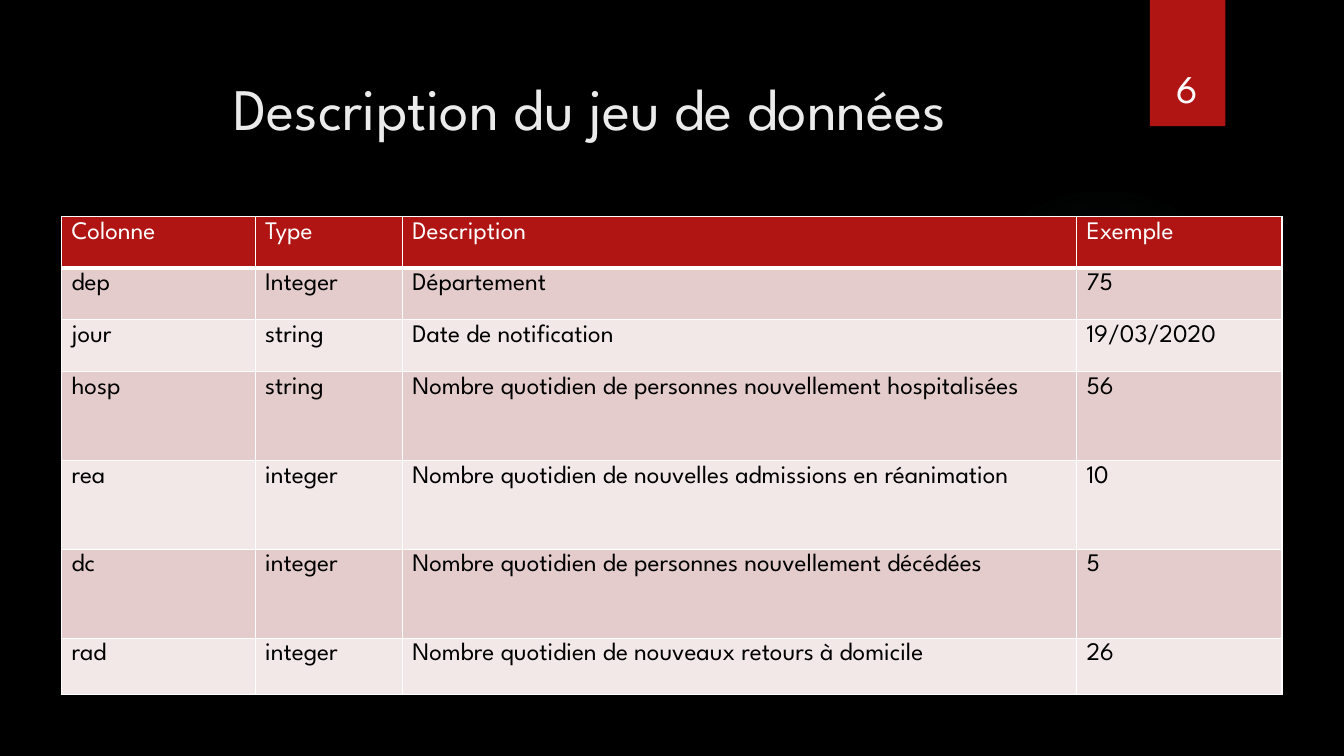
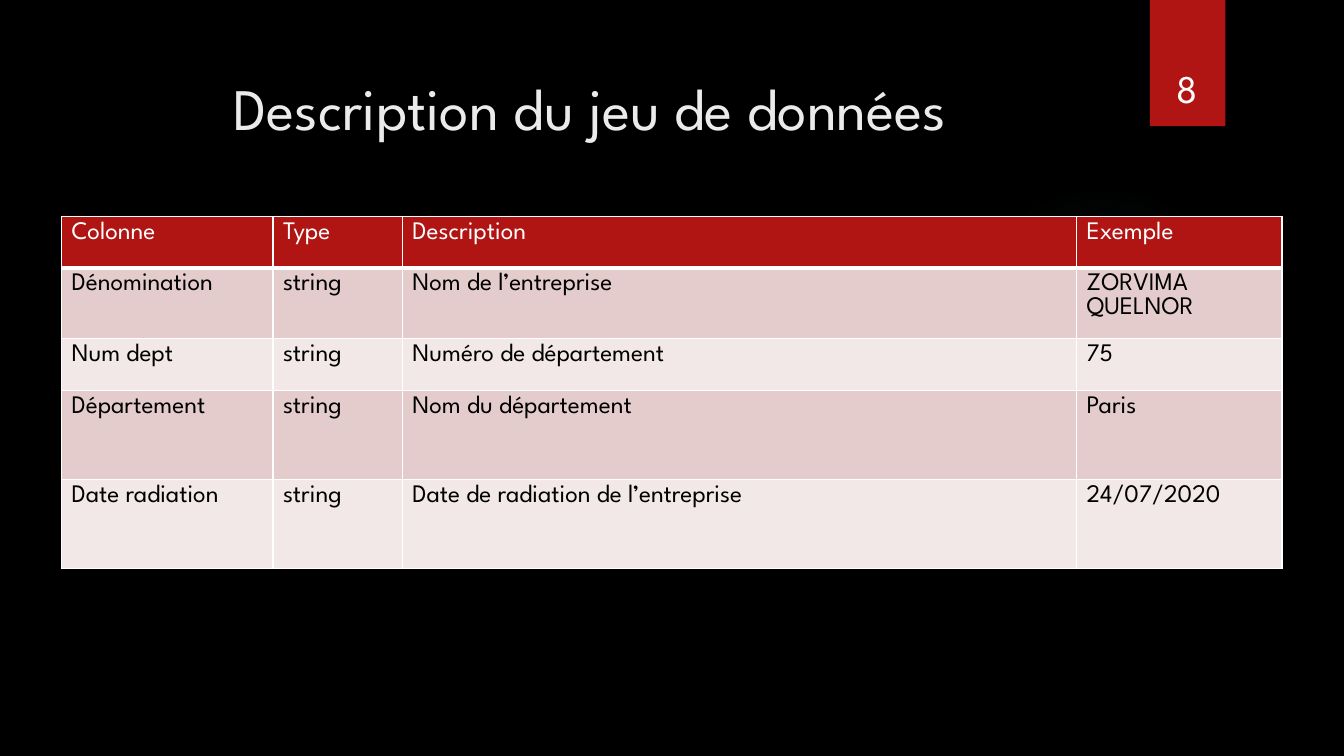
from lxml.etree import SubElement
from pptx import Presentation
from pptx.dml.color import RGBColor
from pptx.enum.shapes import MSO_SHAPE
from pptx.enum.text import MSO_ANCHOR, PP_ALIGN
from pptx.oxml import parse_xml
from pptx.oxml.ns import nsdecls, qn
from pptx.util import Cm, Pt

FONT = "League Spartan"
BLACK = RGBColor(0x00, 0x00, 0x00)
WHITE = RGBColor(0xFF, 0xFF, 0xFF)
TITLE_GREY = RGBColor(0xEB, 0xEB, 0xEB)
RED = RGBColor(0xB0, 0x15, 0x13)
BANDS = (RGBColor(0xE4, 0xCC, 0xCC), RGBColor(0xF2, 0xE8, 0xE7))
GLOW = RGBColor(0x50, 0xB9, 0xC1)
GLOW_STOPS = ((0, 7), (36, 6), (69, 0))

GLOW_BOX = (23.9, 4.65, 7.82, 7.82)
TAB_BOX = (28.98, 0, 1.9, 3.18)
NUMBER_BOX = (28.75, 0.81, 2.34, 2.13)
TITLE_BOX = (1.8, 1.27, 26.14, 3.89)
TABLE_LEFT, TABLE_TOP = 1.55, 5.46
LOW, HIGH = 1.3, 2.24

TITLE = "Description du jeu de données"
HEADER = ("Colonne", "Type", "Description", "Exemple")
HOSPITAL_ROWS = (
    ("dep", "Integer", "Département", "75"),
    ("jour", "string", "Date de notification", "19/03/2020"),
    ("hosp", "string", "Nombre quotidien de personnes nouvellement hospitalisées", "56"),
    ("rea", "integer", "Nombre quotidien de nouvelles admissions en réanimation", "10"),
    ("dc", "integer", "Nombre quotidien de personnes nouvellement décédées", "5"),
    ("rad", "integer", "Nombre quotidien de nouveaux retours à domicile", "26"),
)
COMPANY_ROWS = (
    ("Dénomination", "string", "Nom de l’entreprise", "ZORVIMA QUELNOR"),
    ("Num dept", "string", "Numéro de département", "75"),
    ("Département", "string", "Nom du département", "Paris"),
    ("Date radiation", "string", "Date de radiation de l’entreprise", "24/07/2020"),
)


def lengths(box):
    return [Cm(v) for v in box]


def write(tf, text, size, color, align=PP_ALIGN.LEFT):
    p = tf.paragraphs[0]
    p.alignment = align
    r = p.add_run()
    r.text = text
    r.font.name = FONT
    r.font.size = Pt(size)
    r.font.color.rgb = color


def add_label(s, box, text, size, color, anchor):
    tf = s.shapes.add_textbox(*lengths(box)).text_frame
    tf.word_wrap = True
    tf.vertical_anchor = anchor
    write(tf, text, size, color, PP_ALIGN.CENTER)
    return tf


def add_plain(s, shape, box):
    sp = s.shapes.add_shape(shape, *lengths(box))
    sp.shadow.inherit = False
    sp.line.fill.background()
    return sp


def add_glow(s, box):
    sp = add_plain(s, MSO_SHAPE.OVAL, box)
    stops = "".join(
        f'<a:gs pos="{pos * 1000}"><a:srgbClr val="{GLOW}">'
        f'<a:alpha val="{alpha * 1000}"/></a:srgbClr></a:gs>'
        for pos, alpha in GLOW_STOPS)
    grad = parse_xml(
        f'<a:gradFill {nsdecls("a")}><a:gsLst>{stops}</a:gsLst><a:path path="circle">'
        '<a:fillToRect l="50000" t="50000" r="50000" b="50000"/></a:path></a:gradFill>')
    sp.element.spPr.find(qn("a:prstGeom")).addnext(grad)


def add_base(prs, number):
    s = prs.slides.add_slide(prs.slide_layouts[6])
    s.background.fill.solid()
    s.background.fill.fore_color.rgb = BLACK
    add_glow(s, GLOW_BOX)
    tab = add_plain(s, MSO_SHAPE.RECTANGLE, TAB_BOX)
    tab.fill.solid()
    tab.fill.fore_color.rgb = RED
    tf = add_label(s, TITLE_BOX, TITLE, 42, TITLE_GREY, MSO_ANCHOR.TOP)
    tf.margin_top = Cm(0.53)
    add_label(s, NUMBER_BOX, str(number), 28, WHITE, MSO_ANCHOR.BOTTOM)
    return s


def set_borders(cell, bottom):
    tcPr = cell._tc.get_or_add_tcPr()
    for side, width in (("L", 1), ("R", 1), ("T", 1), ("B", bottom)):
        ln = SubElement(tcPr, qn(f"a:ln{side}"), w=str(Pt(width)))
        SubElement(SubElement(ln, qn("a:solidFill")), qn("a:srgbClr"), val=str(WHITE))


def fill_cell(cell, text, fill, color, bottom):
    set_borders(cell, bottom)
    cell.fill.solid()
    cell.fill.fore_color.rgb = fill
    write(cell.text_frame, text, 18, color)


def add_columns_table(s, left, top, widths, heights, rows):
    box = (left, top, sum(widths), sum(heights))
    table = s.shapes.add_table(len(heights), len(widths), *lengths(box)).table
    table.first_row = table.horz_banding = False
    for column, width in zip(table.columns, widths):
        column.width = Cm(width)
    for row, height in zip(table.rows, heights):
        row.height = Cm(height)
    for i, texts in enumerate((HEADER, *rows)):
        style = (BANDS[(i - 1) % 2], BLACK, 1) if i else (RED, WHITE, 3)
        for j, text in enumerate(texts):
            fill_cell(table.cell(i, j), text, *style)


def add_description_slide(prs, number, widths, heights, rows):
    s = add_base(prs, number)
    add_columns_table(s, TABLE_LEFT, TABLE_TOP, widths, heights, rows)


prs = Presentation()
prs.slide_width, prs.slide_height = Cm(33.87), Cm(19.05)
add_description_slide(prs, 6, (4.88, 3.71, 16.99, 5.18),
                      (LOW, LOW, LOW, HIGH, HIGH, HIGH, 1.42), HOSPITAL_ROWS)
add_description_slide(prs, 8, (5.33, 3.26, 16.99, 5.18),
                      (LOW, LOW, LOW, HIGH, HIGH), COMPANY_ROWS)
prs.save("out.pptx")
